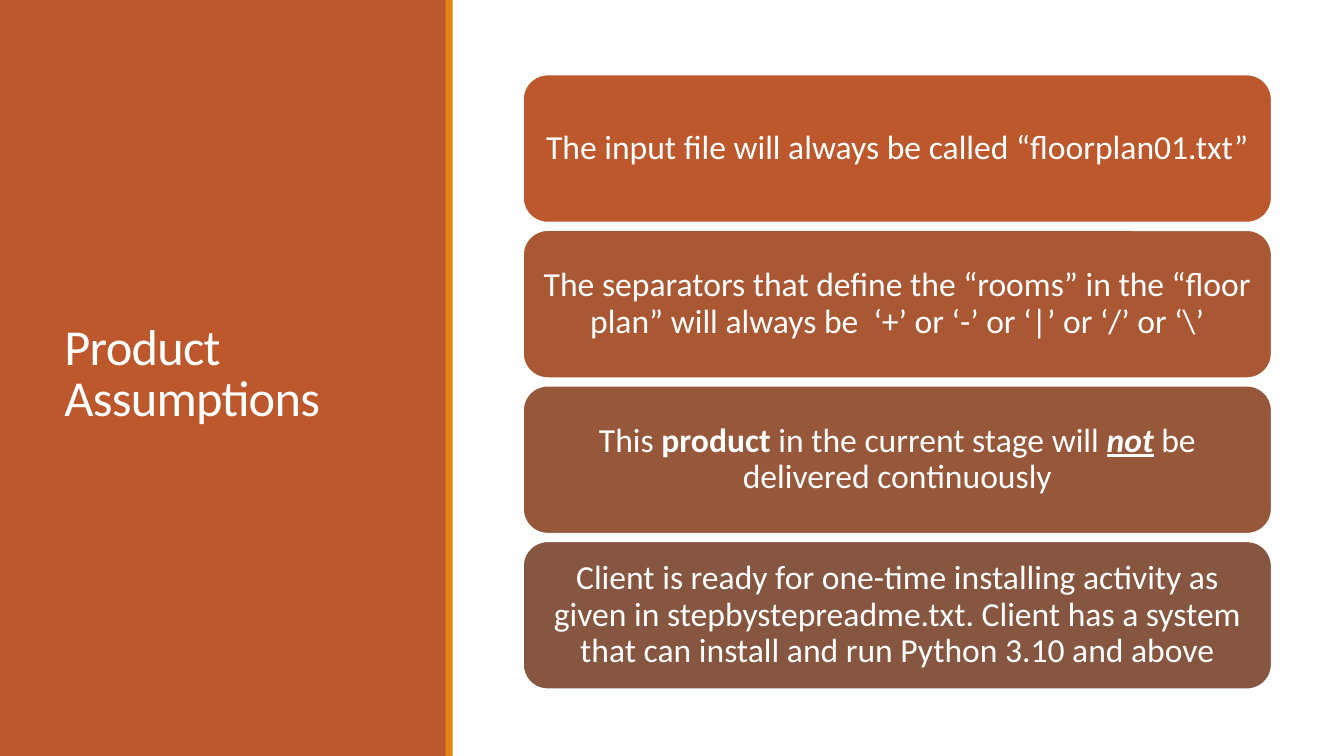
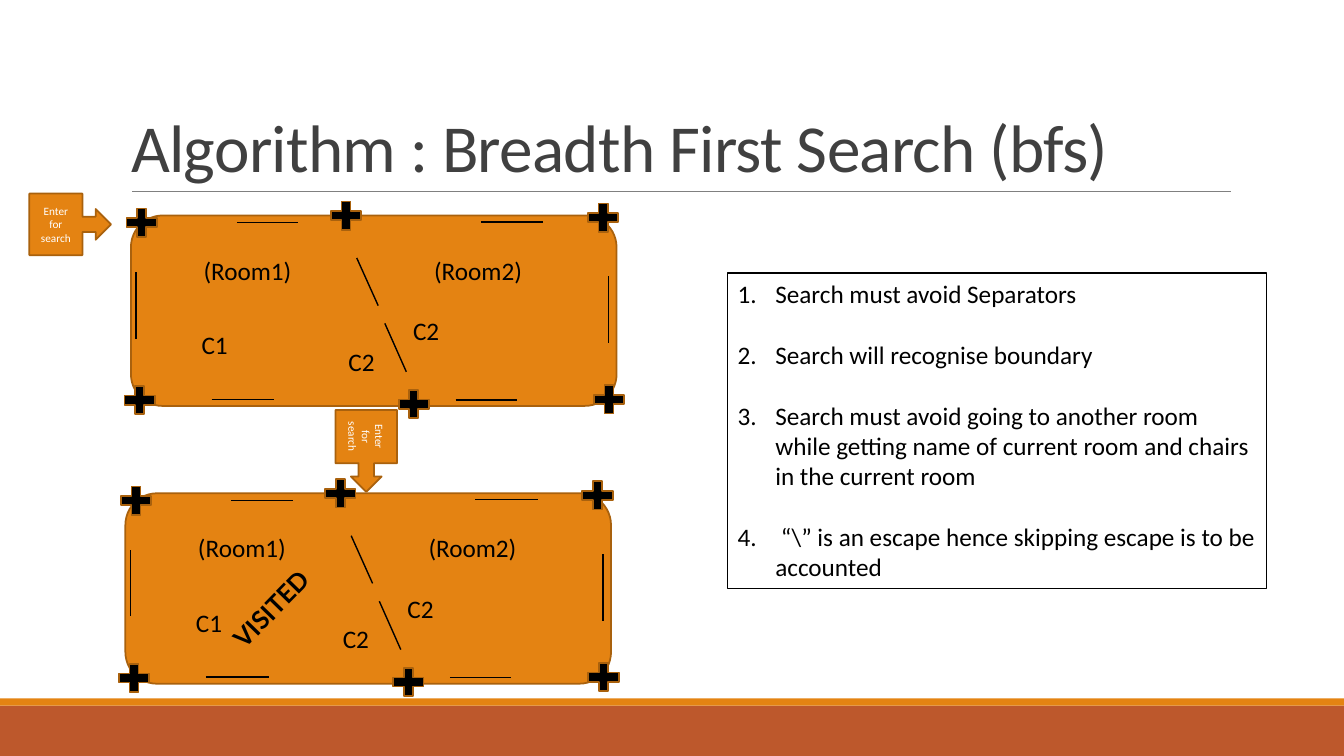
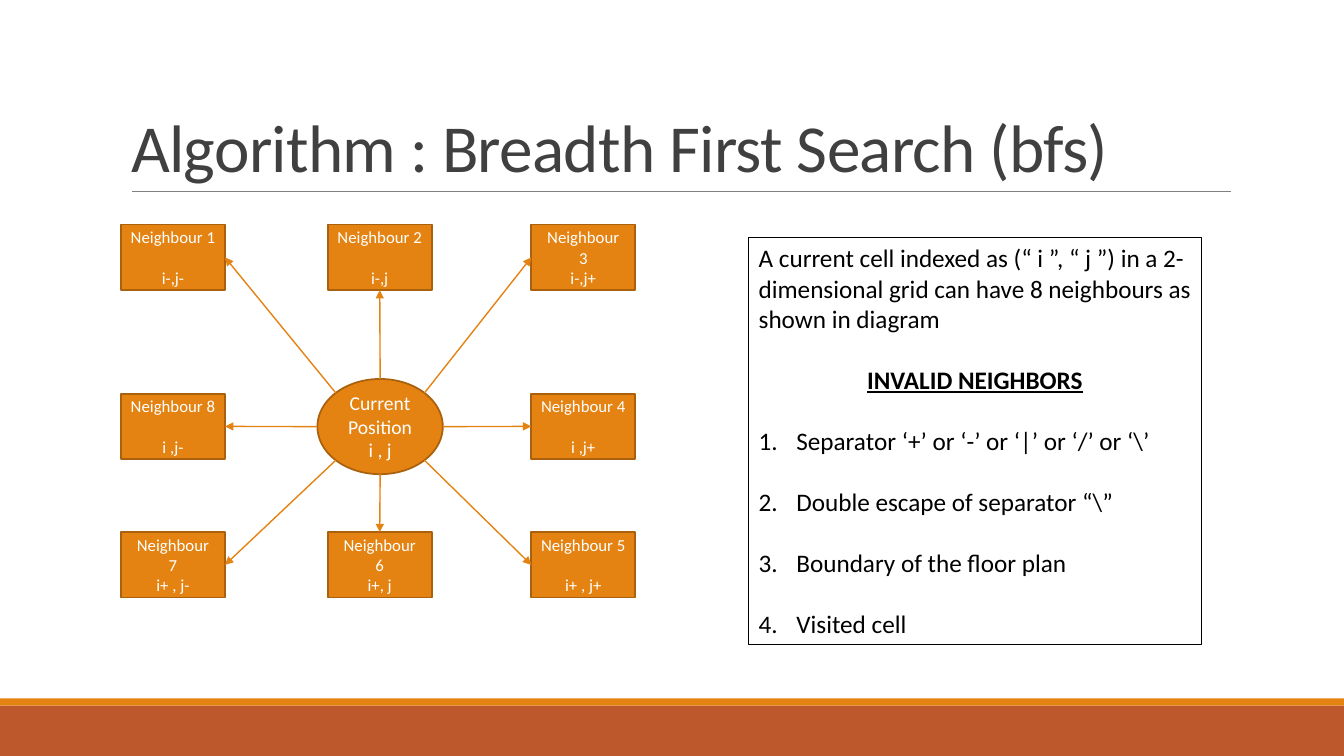
from math import sqrt

from lxml.etree import SubElement
from pptx import Presentation
from pptx.dml.color import RGBColor
from pptx.enum.shapes import MSO_CONNECTOR as Link, MSO_SHAPE as Kind
from pptx.enum.text import MSO_ANCHOR as Anchor, MSO_AUTO_SIZE as Fit, PP_ALIGN as Align
from pptx.oxml.ns import qn
from pptx.util import Cm, Pt

RUST = RGBColor(0xBD, 0x58, 0x2C)
AMBER = RGBColor(0xE4, 0x83, 0x12)
BROWN = RGBColor(0xA9, 0x61, 0x0D)
WHITE = RGBColor(0xFF, 0xFF, 0xFF)
BLACK = RGBColor(0, 0, 0)
DARK = RGBColor(0x40, 0x40, 0x40)
GREY = RGBColor(0x80, 0x80, 0x80)
CARDS = [RUST, RGBColor(0xAA, 0x58, 0x34), RGBColor(0x97, 0x57, 0x3A), RGBColor(0x86, 0x56, 0x40)]

FONT = "Calibri"
WIDE, HIGH = 33.87, 19.05
BAND = 0.18
GAP = Pt(22)


def draw(slide, kind, box, fill=None, edge=None, lines=(), size=18, color=WHITE,
         align=Align.CENTER, thick=1.25):
    """Add a shape, or a text box if kind is None; text between stars is bold."""
    place = [Cm(v) for v in box]
    if kind is None:
        shape = slide.shapes.add_textbox(*place)
    else:
        shape = slide.shapes.add_shape(kind, *place)
        shape.shadow.inherit = False
    if fill is not None:
        shape.fill.solid()
        shape.fill.fore_color.rgb = fill
    if edge is None:
        shape.line.fill.background()
    else:
        shape.line.color.rgb = edge
        shape.line.width = Pt(thick)
    frame = shape.text_frame
    frame.word_wrap = True
    for i, line in enumerate(lines):
        para = frame.paragraphs[0] if i == 0 else frame.add_paragraph()
        para.alignment = align
        for j, bit in enumerate(line.split("*")):
            if bit:
                run = para.add_run()
                run.text = bit
                run.font.name = FONT
                run.font.size = Pt(size)
                run.font.color.rgb = color
                run.font.bold = j % 2 == 1
    return shape


def join(slide, x1, y1, x2, y2, color=BLACK, thick=1, tip=False):
    """Add a straight line, with an arrowhead at its end if tip is set."""
    line = slide.shapes.add_connector(Link.STRAIGHT, Cm(x1), Cm(y1), Cm(x2), Cm(y2))
    line.line.color.rgb = color
    line.line.width = Pt(thick)
    if tip:
        SubElement(line.line._get_or_add_ln(), qn("a:tailEnd"), type="triangle")
    SubElement(line.element.spPr, qn("a:effectLst"))


deck = Presentation()
deck.slide_width, deck.slide_height = Cm(WIDE), Cm(HIGH)

# Titles, and the bands and rule of the content slides
BFS = "Algorithm : Breadth First Search (bfs)"
HEAD = (3.05, 0.79, 27.94, 4.04)
slides = []
for text, box, size, color, anchor in [
    ("Product Assumptions", (1.37, 1.45, 8.56, 16.03), 36, WHITE, Anchor.MIDDLE),
    (BFS, HEAD, 48, DARK, Anchor.BOTTOM),
    (BFS, HEAD, 48, DARK, Anchor.BOTTOM),
]:
    slide = deck.slides.add_slide(deck.slide_layouts[5])
    slides.append(slide)
    title = slide.shapes.title
    title.left, title.top, title.width, title.height = [Cm(v) for v in box]
    frame = title.text_frame
    frame.text = text
    frame.auto_size = Fit.NONE
    frame.vertical_anchor = anchor
    para = frame.paragraphs[0]
    para.alignment = Align.LEFT
    para.line_spacing = 0.85
    font = para.runs[0].font
    font.name, font.size, font.color.rgb = FONT, Pt(size), color
    para.runs[0]._r.get_or_add_rPr().set("spc", "-50")
    if text == BFS:
        draw(slide, Kind.RECTANGLE, (0, 17.78, WIDE, HIGH - 17.78), RUST)
        draw(slide, Kind.RECTANGLE, (0, 17.78 - BAND, WIDE, BAND), AMBER)
        join(slide, 3.33, 4.82, 31.01, 4.82, GREY, 0.5)

# Slide 1: assumptions
first, plan, grid = slides
panel = draw(first, Kind.RECTANGLE, (0, 0, 11.25, HIGH), RUST)
first.shapes.title.element.addprevious(panel.element)
draw(first, Kind.RECTANGLE, (11.23, 0, BAND, HIGH), AMBER)
facts = [
    "The input file will always be called “floorplan01.txt”",
    "The separators that define the “rooms” in the “floor plan” will always be  ‘+’ or ‘-’ or ‘|’ or ‘/’ or ‘\\’",
    "This *product* in the current stage will *not* be delivered continuously",
    "Client is ready for one-time installing activity as given in stepbystepreadme.txt. "
    "Client has a system that can install and run Python 3.10 and above",
]
for i, (fact, fill) in enumerate(zip(facts, CARDS)):
    card = draw(first, Kind.ROUNDED_RECTANGLE, (13.18, 1.88 + 3.92 * i, 18.87, 3.73),
                fill, WHITE, [fact], 24)
    card.text_frame.vertical_anchor = Anchor.MIDDLE
    para = card.text_frame.paragraphs[0]
    para.line_spacing = 0.9
    for run in para.runs:
        if run.text == "not":
            run.font.italic = run.font.underline = True

# Slide 2: two floor plans, the second one a shifted repeat
rooms = [("(Room1)", 4.88, 6.3, 2.84), ("(Room2)", 10.69, 6.3, 2.84),
         ("C1", 4.83, 8.18, 1.3), ("C2", 8.53, 8.59, 1.3), ("C2", 10.16, 7.82, 1.3)]
posts = [(3.05, 5.13), (8.2, 4.95), (14.68, 5), (9.91, 9.7), (3, 9.6), (14.83, 9.58)]
walls = [(8.99, 6.5, 9.53, 7.7), (9.7, 8.15, 10.24, 9.37),
         (3.43, 6.86, 3.43, 8.53), (15.34, 6.96, 15.34, 8.64),
         (12.12, 5.59, 13.69, 5.59), (5.97, 5.61, 7.52, 5.61),
         (5.33, 10.06, 6.91, 10.06), (11.48, 10.08, 13.03, 10.08)]
for dx, dy in [(0, 0), (-0.14, 7)]:
    draw(plan, Kind.ROUNDED_RECTANGLE, (3.3 + dx, 5.43 + dy, 12.24, 4.8), AMBER, BROWN)
    for text, x, y, w in rooms:
        draw(plan, None, (x + dx, y + dy, w, 1.02), lines=[text], color=BLACK, align=Align.LEFT)
    for x, y in posts:
        draw(plan, Kind.MATH_PLUS, (x + dx, y + dy, 1.04, 0.97), BLACK, BROWN)
    for x1, y1, x2, y2 in walls:
        join(plan, x1 + dx, y1 + dy, x2 + dx, y2 + dy)

stamp = draw(plan, None, (5.26, 14.55, 3.68, 1.02), lines=["*VISITED*"],
             color=BLACK, align=Align.LEFT)
stamp.rotation = 314.3
stamp.text_frame.paragraphs[0].runs[0].font.name = "Lato"

for x, y, turn in [(0.74, 4.88, 0), (8.2, 10.59, 90)]:
    entry = draw(plan, Kind.RIGHT_ARROW_CALLOUT, (x, y, 2.06, 1.55), AMBER, BROWN,
                 ["Enter for search"], 8)
    entry.rotation = turn
    entry.text_frame.vertical_anchor = Anchor.MIDDLE

# Slide 3: a cell and its neighbours, placed by column and row
COLS, ROWS = (3.05, 8.26, 13.39), (5.66, 9.92, 13.41)
W, H = 2.62, 1.65
MIDX, MIDY, RX, RY = 9.58, 10.75, 1.58, 1.2
cell = draw(grid, Kind.OVAL, (MIDX - RX, MIDY - RY, 2 * RX, 2 * RY), AMBER, BROWN,
            ["Current Position i , j"], 14)
cell.text_frame.vertical_anchor = Anchor.MIDDLE
near = [
    (0, 0, ["Neighbour 1", "i-,j-"]),
    (1, 0, ["Neighbour 2", "i-,j"]),
    (2, 0, ["Neighbour", "3", "i-,j+"]),
    (2, 1, ["Neighbour 4", "i ,j+"]),
    (2, 2, ["Neighbour 5", "i+ , j+"]),
    (1, 2, ["Neighbour", "6", "i+, j"]),
    (0, 2, ["Neighbour", "7", "i+ , j-"]),
    (0, 1, ["Neighbour 8", "i ,j-"]),
]
for col, row, lines in near:
    x, y = COLS[col], ROWS[row]
    box = draw(grid, Kind.RECTANGLE, (x, y, W, H), AMBER, BROWN, lines, 12)
    frame = box.text_frame
    frame.vertical_anchor = Anchor.MIDDLE
    frame.margin_left = frame.margin_right = Cm(0.1)
    frame.margin_top = frame.margin_bottom = 0
    if len(lines) == 2:
        frame.paragraphs[0].space_after = Pt(14.5)
    dx, dy = col - 1, row - 1
    part = 1 / sqrt(2) if dx and dy else 1
    join(grid, MIDX + dx * RX * part, MIDY + dy * RY * part,
         x + W / 2 - dx * W / 2, y + H / 2 - (0 if dx else dy * H / 2), AMBER, tip=True)

# Framed notes of slides 2 and 3, numbered from the given paragraph on
notes = [
    (plan, (18.34, 6.88, 13.58, 7.95), 0, [
        "Search must avoid Separators",
        "Search will recognise boundary",
        "Search must avoid going to another room while getting name of current room "
        "and chairs in the current room",
        " “\\” is an escape hence skipping escape is to be accounted",
    ]),
    (grid, (18.87, 5.99, 11.4, 10.26), 2, [
        "A current cell indexed as (“ i ”, “ j ”) in a 2-dimensional grid can have "
        "8 neighbours as shown in diagram",
        "*INVALID NEIGHBORS*",
        "Separator ‘+’ or ‘-’ or ‘|’ or ‘/’ or ‘\\’",
        "Double escape of separator “\\”",
        "Boundary of the floor plan",
        "Visited cell",
    ]),
]
for slide, box, start, lines in notes:
    note = draw(slide, None, box, edge=BLACK, lines=lines, color=BLACK,
                align=Align.LEFT, thick=0.75)
    paras = note.text_frame.paragraphs
    for para in paras[:-1]:
        para.space_after = GAP
    for para in paras[start:]:
        props = para._p.get_or_add_pPr()
        props.set("marL", str(Cm(0.95)))
        props.set("indent", str(-Cm(0.95)))
        SubElement(props, qn("a:buFont"), typeface="+mj-lt")
        SubElement(props, qn("a:buAutoNum"), type="arabicPeriod")
    for para in paras[:start]:
        if para.runs[0].font.bold:
            para.alignment = Align.CENTER
            para.runs[0].font.underline = True

deck.save("out.pptx")
